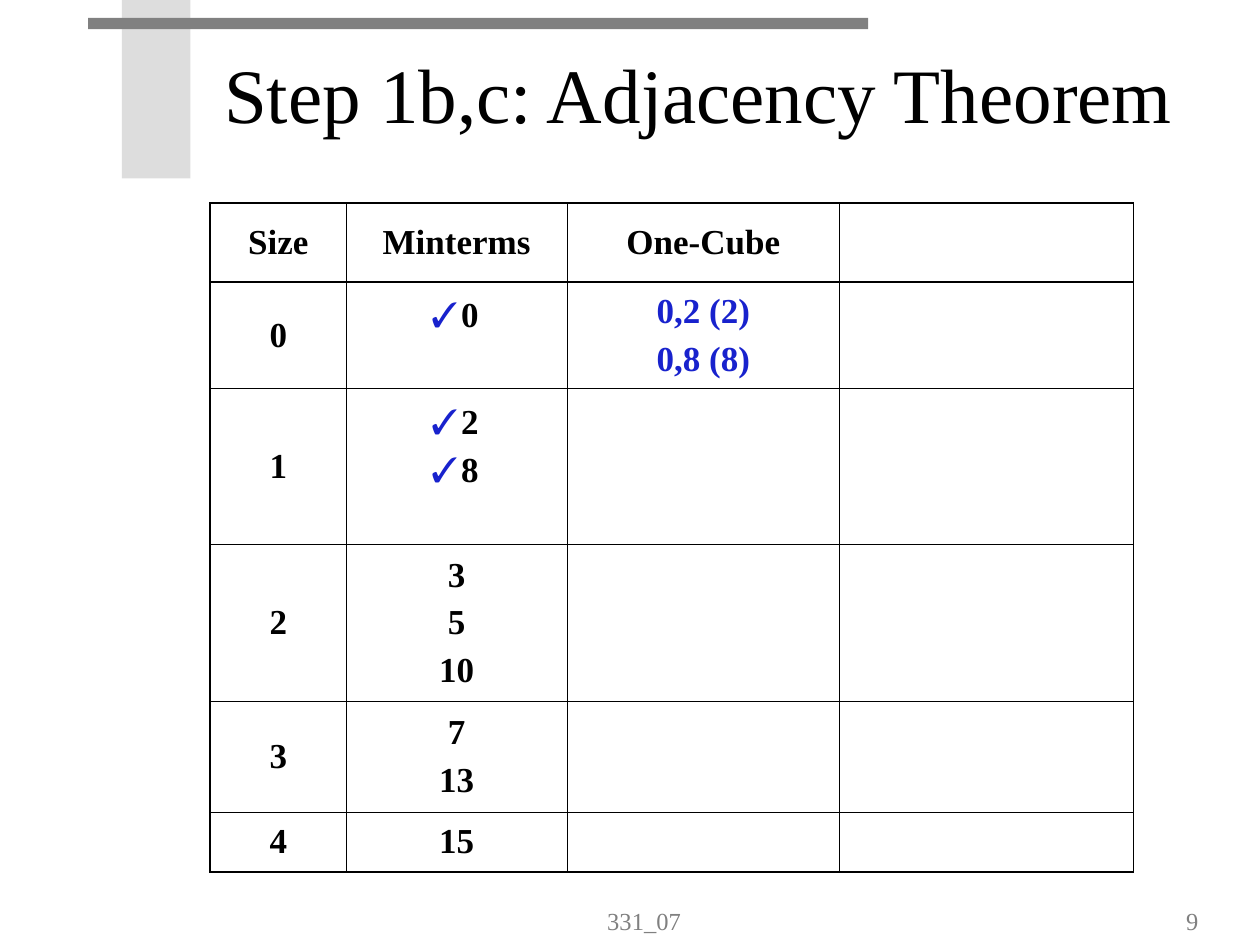
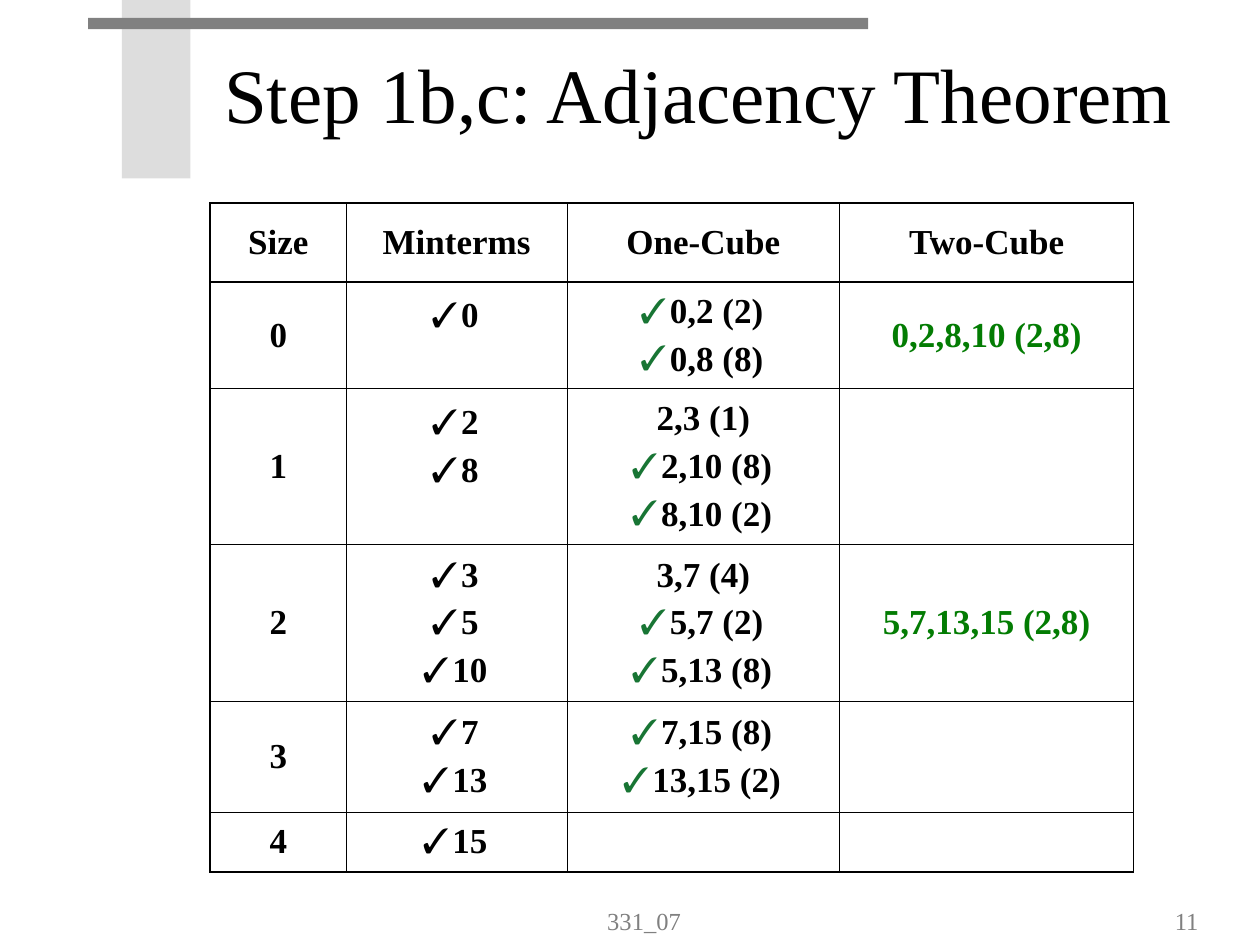
"""Build two slides that group minterms with the adjacency theorem."""
from dataclasses import dataclass

from lxml.etree import SubElement
from pptx import Presentation
from pptx.dml.color import RGBColor
from pptx.enum.shapes import MSO_SHAPE
from pptx.enum.text import MSO_ANCHOR, PP_ALIGN
from pptx.oxml.ns import qn
from pptx.util import Cm, Pt


@dataclass(frozen=True)
class Theme:
    font: str = "Times New Roman"
    black: str = "000000"
    gray: str = "808080"
    pale: str = "DDDDDD"
    blue: str = "1822CD"
    tick_green: str = "187534"
    green: str = "037C03"
    title_size: int = 44
    cell_size: int = 20
    footer_size: int = 14
    thin: float = 0.45
    thick: float = 1.08


T = Theme()
TICK = "✓"
TITLE = "Step 1b,c: Adjacency Theorem"
FOOTER = "331_07"

SLIDES = [
    {
        "number": "9",
        "ticks": {1: T.blue},
        "colors": {2: T.blue},
        "header": ["Size", "Minterms", "One-Cube", ""],
        "rows": [
            ["0", "✓0", "0,2 (2)\n0,8 (8)", ""],
            ["1", "✓2\n✓8", "", ""],
            ["2", "3\n5\n10", "", ""],
            ["3", "7\n13", "", ""],
            ["4", "15", "", ""],
        ],
    },
    {
        "number": "11",
        "ticks": {1: T.black, 2: T.tick_green},
        "colors": {3: T.green},
        "header": ["Size", "Minterms", "One-Cube", "Two-Cube"],
        "rows": [
            ["0", "✓0", "✓0,2 (2)\n✓0,8 (8)", "0,2,8,10 (2,8)"],
            ["1", "✓2\n✓8", "2,3 (1)\n✓2,10 (8)\n✓8,10 (2)", ""],
            ["2", "✓3\n✓5\n✓10", "3,7 (4)\n✓5,7 (2)\n✓5,13 (8)", "5,7,13,15 (2,8)"],
            ["3", "✓7\n✓13", "✓7,15 (8)\n✓13,15 (2)", ""],
            ["4", "✓15", "", ""],
        ],
    },
]

BANDS = [((2.46, 0, 1.38, 3.6), T.pale), ((1.78, 0.36, 15.72, 0.23), T.gray)]
TITLE_BOX = (4.27, 0.43, 20.5, 3.18)
FOOTER_BOX = (8.69, 17.71, 8.59, 1.27)
NUMBER_BOX = (18.31, 17.71, 6.1, 1.27)
TABLE_AT = (4.24, 4.09)
COLS = [2.74, 4.45, 5.5, 5.92]
ROWS = [1.6, 2.14, 3.15, 3.16, 2.23, 1.21]
RAISED = {(1, 1), (2, 1)}
RAISED_MARGIN = 0.92


def write(tf, text, *, size=T.cell_size, color=T.black, bold=False,
          align=PP_ALIGN.CENTER, spacing=None, before=0, tick=T.black):
    for i, line in enumerate(text.split("\n")):
        p = tf.add_paragraph() if i else tf.paragraphs[0]
        p.alignment = align
        if spacing:
            p.line_spacing = spacing
        if i and before:
            p.space_before = Pt(before)
        if line.startswith(TICK):
            pPr = p._p.get_or_add_pPr()
            SubElement(SubElement(pPr, qn("a:buClr")), qn("a:srgbClr"), val=tick)
            SubElement(pPr, qn("a:buFont"), typeface=T.font)
            SubElement(pPr, qn("a:buChar"), char=TICK)
        r = p.add_run()
        r.text = line.removeprefix(TICK)
        f = r.font
        f.name, f.size, f.bold = T.font, Pt(size), bold
        f.color.rgb = RGBColor.from_string(color)


def add_text(s, box, text, anchor, **fmt):
    tf = s.shapes.add_textbox(*map(Cm, box)).text_frame
    tf.word_wrap = True
    tf.vertical_anchor = anchor
    write(tf, text, **fmt)


def add_frame(s, number):
    for box, color in BANDS:
        sp = s.shapes.add_shape(MSO_SHAPE.RECTANGLE, *map(Cm, box))
        sp.shadow.inherit = False
        sp.fill.solid()
        sp.fill.fore_color.rgb = RGBColor.from_string(color)
        sp.line.fill.background()
    add_text(s, TITLE_BOX, TITLE, MSO_ANCHOR.MIDDLE, size=T.title_size,
             align=PP_ALIGN.LEFT, spacing=0.85)
    for box, text, align in [(FOOTER_BOX, FOOTER, PP_ALIGN.CENTER),
                             (NUMBER_BOX, number, PP_ALIGN.RIGHT)]:
        add_text(s, box, text, MSO_ANCHOR.BOTTOM, size=T.footer_size,
                 color=T.gray, align=align)


def set_borders(cell, row, col):
    thick = {
        "L": col == 0,
        "R": col == len(COLS) - 1,
        "T": row in (0, 1),
        "B": row in (0, len(ROWS) - 1),
    }
    tcPr = cell._tc.get_or_add_tcPr()
    for side, heavy in thick.items():
        width = Pt(T.thick if heavy else T.thin)
        ln = SubElement(tcPr, qn(f"a:ln{side}"), w=str(width))
        SubElement(SubElement(ln, qn("a:solidFill")), qn("a:srgbClr"), val=T.black)


def add_grid(s, data):
    size = (sum(COLS), sum(ROWS))
    tbl = s.shapes.add_table(len(ROWS), len(COLS), *map(Cm, TABLE_AT + size)).table
    tbl.first_row = tbl.horz_banding = False
    for col, width in zip(tbl.columns, COLS):
        col.width = Cm(width)
    for row, height in zip(tbl.rows, ROWS):
        row.height = Cm(height)
    for i, texts in enumerate([data["header"], *data["rows"]]):
        for j, text in enumerate(texts):
            cell = tbl.cell(i, j)
            set_borders(cell, i, j)
            cell.fill.background()
            cell.vertical_anchor = MSO_ANCHOR.MIDDLE
            if (i, j) in RAISED:
                cell.margin_bottom = Cm(RAISED_MARGIN)
            if text:
                color = data["colors"].get(j, T.black) if i else T.black
                write(cell.text_frame, text, bold=True, before=5, color=color,
                      tick=data["ticks"].get(j, T.black))


def main():
    prs = Presentation()
    prs.slide_width, prs.slide_height = Cm(25.4), Cm(19.05)
    for data in SLIDES:
        s = prs.slides.add_slide(prs.slide_layouts[6])
        add_frame(s, data["number"])
        add_grid(s, data)
    prs.save("out.pptx")


if __name__ == "__main__":
    main()
